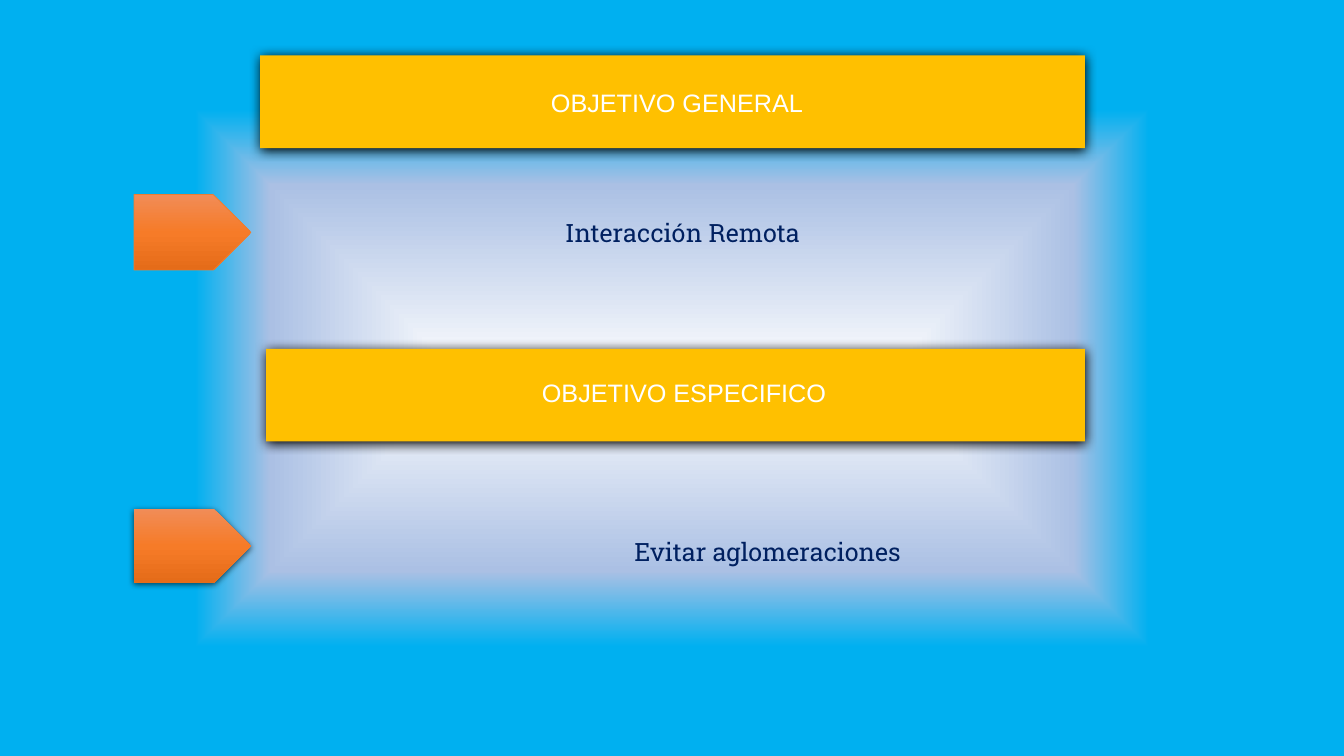
from pptx import Presentation
from pptx.dml.color import RGBColor
from pptx.enum.shapes import MSO_SHAPE
from pptx.enum.text import MSO_ANCHOR, MSO_AUTO_SIZE, PP_ALIGN
from pptx.oxml import parse_xml
from pptx.oxml.ns import nsdecls
from pptx.util import Inches, Pt


def set_text(sp, box, text, font, color):
    sp.left, sp.top, sp.width, sp.height = [Inches(v) for v in box]
    tf = sp.text_frame
    frame_format = {"word_wrap": True, "auto_size": MSO_AUTO_SIZE.NONE,
                    "vertical_anchor": MSO_ANCHOR.MIDDLE}
    for name, value in frame_format.items():
        setattr(tf, name, value)
    p = tf.paragraphs[0]
    p.alignment = PP_ALIGN.CENTER
    r = p.add_run()
    r.text = text
    for name, value in {"name": font, "size": Pt(18), "bold": False}.items():
        setattr(r.font, name, value)
    r.font.color.rgb = RGBColor.from_string(color)


def add_shadow(sp, blur, distance, alpha):
    sp.shadow.inherit = False
    sp.element.spPr.find("{*}effectLst").append(parse_xml(
        f'<a:outerShdw {nsdecls("a")} blurRad="{Pt(blur)}" dist="{Pt(distance)}" '
        'dir="5400000" algn="ctr" rotWithShape="0"><a:srgbClr val="000000">'
        f'<a:alpha val="{alpha * 1000}"/></a:srgbClr></a:outerShdw>'))


prs = Presentation()
prs.slide_width, prs.slide_height = Inches(13.33), Inches(7.5)
s = prs.slides.add_slide(prs.slide_layouts[5])

# Background: glow from the centre
stops = [(0, "FFFFFF", 100), (51, "ABC0E4", 100), (71, "00B0F0", 29), (100, "00B0F0", 100)]
gs = "".join(f'<a:gs pos="{pos * 1000}"><a:srgbClr val="{color}">'
             f'<a:alpha val="{alpha * 1000}"/></a:srgbClr></a:gs>'
             for pos, color, alpha in stops)
s.element.cSld.insert(0, parse_xml(
    f'<p:bg {nsdecls("p", "a")}><p:bgPr><a:gradFill rotWithShape="1"><a:gsLst>{gs}</a:gsLst>'
    '<a:path path="shape"><a:fillToRect l="50000" t="50000" r="50000" b="50000"/></a:path>'
    '</a:gradFill><a:effectLst/></p:bgPr></p:bg>'))

# Yellow banners
for box in [(2.64, 3.46, 8.12, 0.92), (2.58, 0.55, 8.18, 0.92)]:
    banner = s.shapes.add_shape(MSO_SHAPE.RECTANGLE, *[Inches(v) for v in box])
    banner.fill.solid()
    banner.fill.fore_color.rgb = RGBColor.from_string("FFC000")
    banner.line.fill.background()
    add_shadow(banner, 8.5, 1, 100)

# Banner headings, with the title in front of its banner
title = s.shapes.title
banner.element.addnext(title.element)
set_text(title, (3.13, 0.64, 7.17, 0.75), "OBJETIVO GENERAL", "Arial", "FFFFFF")
set_text(s.shapes.add_textbox(0, 0, 0, 0), (3.2, 3.52, 7.17, 0.75),
         "OBJETIVO ESPECIFICO", "Arial", "FFFFFF")

# Objectives: orange pointer and text
objectives = [
    (1.93, 0.75, (2.64, 1.93, 8.26, 0.75), "Interacción Remota", False),
    (5.05, 0.73, (2.75, 5.11, 9.73, 0.73), "Evitar aglomeraciones", True),
]
orange = "".join(f'<a:gs pos="{pos * 1000}"><a:srgbClr val="{color}"/></a:gs>'
                 for pos, color in [(0, "F18C57"), (50, "F67B28"), (100, "E56C19")])
for top, height, box, text, raised in objectives:
    pointer = s.shapes.add_shape(MSO_SHAPE.PENTAGON, Inches(1.33), Inches(top),
                                 Inches(1.16), Inches(height))
    pointer.element.spPr.find("{*}prstGeom").addnext(parse_xml(
        f'<a:gradFill {nsdecls("a")} rotWithShape="1"><a:gsLst>{orange}</a:gsLst>'
        '<a:lin ang="5400000" scaled="0"/></a:gradFill>'))
    if raised:
        pointer.line.fill.background()
        add_shadow(pointer, 4.5, 1.5, 63)
    else:
        pointer.line.color.rgb = RGBColor.from_string("ED7D31")
        pointer.line.width = Pt(0.5)
        pointer.shadow.inherit = False
    set_text(s.shapes.add_textbox(0, 0, 0, 0), box, text, "Roboto Slab", "002060")

prs.save("out.pptx")
